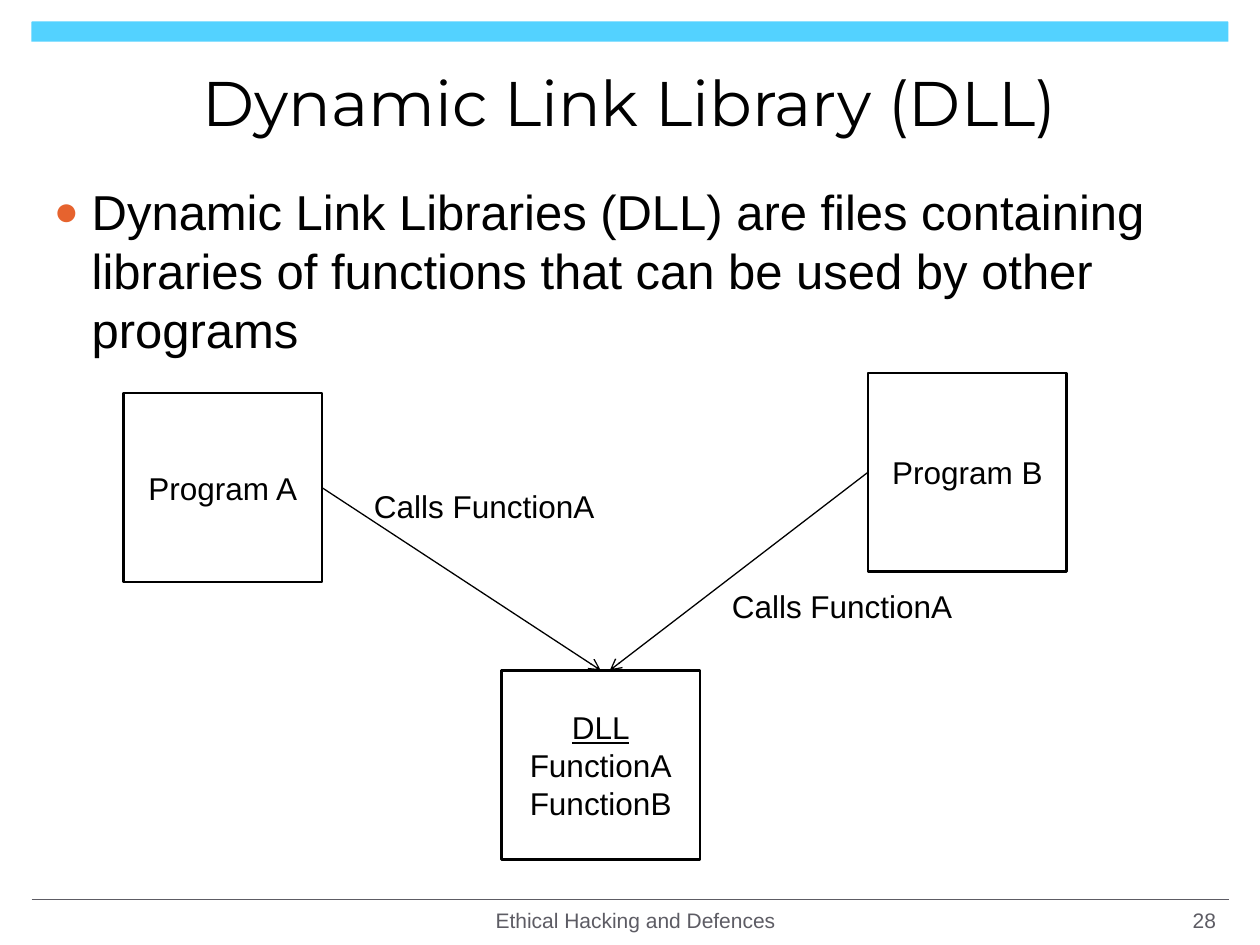
from lxml import etree
from pptx import Presentation
from pptx.dml.color import RGBColor
from pptx.enum.shapes import MSO_CONNECTOR, MSO_SHAPE
from pptx.enum.text import MSO_ANCHOR, PP_ALIGN
from pptx.oxml.ns import qn
from pptx.util import Inches, Pt

LEFT, CENTER, RIGHT = PP_ALIGN.LEFT, PP_ALIGN.CENTER, PP_ALIGN.RIGHT
TOP, MIDDLE = MSO_ANCHOR.TOP, MSO_ANCHOR.MIDDLE
RECTANGLE, BANNER = MSO_SHAPE.RECTANGLE, MSO_SHAPE.ROUND_2_SAME_RECTANGLE
STRAIGHT = MSO_CONNECTOR.STRAIGHT
TOP_SIDE, LEFT_SIDE, RIGHT_SIDE = 0, 1, 3

COLUMNS, ROWS = 100, 75
WIDTH, HEIGHT = Inches(10), Inches(7.5)

THEME = {
    "banner": "53D2FF",
    "ink": "000000",
    "muted": "5D5C64",
    "bullet": "E6632E",
    "title": {"name": "Montserrat", "size": Pt(36), "color": "000000"},
    "body": {"name": "Arial", "size": Pt(28), "color": "000000"},
    "label": {"name": "Arial", "size": Pt(18), "color": "000000"},
    "footer": {"name": "Arial", "size": Pt(12), "color": "5D5C64"},
}

BANNER_AREA = (2.5, 1.7, 95, 1.6)
FOOTER_RULE = (2.5, 71.4, 97.5, 71.4)
TEXTS = [
    ("Dynamic Link Library (DLL)", (3.3, 3, 93.3, 10.1), "title", CENTER, MIDDLE, True),
    ("Dynamic Link Libraries (DLL) are files containing libraries of functions "
     "that can be used by other programs", (3.3, 13.9, 93.3, 56.1), "body", LEFT, TOP, True),
    ("Ethical Hacking and Defences", (31.7, 71.3, 37.5, 3.5), "footer", CENTER, MIDDLE, True),
    ("28", (74.2, 71.3, 23.3, 3.5), "footer", RIGHT, MIDDLE, True),
    ("Calls FunctionA", (28.7, 38.2, 19.7, 4), "label", LEFT, TOP, False),
    ("Calls FunctionA", (57.1, 46.1, 19.7, 4), "label", LEFT, TOP, False),
]
BOXES = {
    "Program A": (["Program A"], (9.8, 31.2, 15.75, 15)),
    "Program B": (["Program B"], (68.9, 29.6, 15.75, 15.75)),
    "DLL": (["DLL", "FunctionA", "FunctionB"], (39.8, 53.2, 15.75, 15)),
}
UNDERLINED = {"DLL"}
PROGRAM_B_ARROW_END = (48.4, 53.2)


def across(columns):
    return round(WIDTH * columns / COLUMNS)


def down(rows):
    return round(HEIGHT * rows / ROWS)


def place(area):
    left, top, width, height = area
    return across(left), down(top), across(width), down(height)


def write(shape, lines, style, alignment, anchor, wrap=True):
    frame = shape.text_frame
    for name, value in {"word_wrap": wrap, "vertical_anchor": anchor}.items():
        setattr(frame, name, value)
    for index, line in enumerate(lines):
        paragraph = frame.add_paragraph() if index else frame.paragraphs[0]
        paragraph.alignment = alignment
        run = paragraph.add_run()
        run.text = line
        formats = {**THEME[style], "underline": line in UNDERLINED}
        run.font.color.rgb = RGBColor.from_string(formats.pop("color"))
        for name, value in formats.items():
            setattr(run.font, name, value)


def add_bullet(paragraph):
    properties = paragraph._p.get_or_add_pPr()
    properties.set("marL", str(Inches(0.3)))
    properties.set("indent", str(-Inches(0.3)))
    color = etree.SubElement(properties, qn("a:buClr"))
    etree.SubElement(color, qn("a:srgbClr"), val=THEME["bullet"])
    etree.SubElement(properties, qn("a:buSzPct"), val="85000")
    etree.SubElement(properties, qn("a:buFont"), typeface="Arial")
    etree.SubElement(properties, qn("a:buChar"), char="●")


def add_line(slide, points, color, weight, arrow=False):
    left, top, right, bottom = points
    line = slide.shapes.add_connector(STRAIGHT, across(left), down(top), across(right), down(bottom))
    line.line.color.rgb = RGBColor.from_string(THEME[color])
    line.line.width = Pt(weight)
    if arrow:
        etree.SubElement(line.line._get_or_add_ln(), qn("a:tailEnd"), type="arrow")
    etree.SubElement(line._element.spPr, qn("a:effectLst"))
    return line


def add_box(slide, lines, area):
    box = slide.shapes.add_shape(RECTANGLE, *place(area))
    box.shadow.inherit = False
    box.fill.background()
    box.line.color.rgb = RGBColor.from_string(THEME["ink"])
    box.line.width = Pt(1.5)
    write(box, lines, "label", CENTER, MIDDLE)
    return box


def main():
    presentation = Presentation()
    presentation.slide_width, presentation.slide_height = WIDTH, HEIGHT
    slide = presentation.slides.add_slide(presentation.slide_layouts[6])

    banner = slide.shapes.add_shape(BANNER, *place(BANNER_AREA))
    banner.adjustments[0] = 0.05
    banner.shadow.inherit = False
    banner.fill.solid()
    banner.fill.fore_color.rgb = RGBColor.from_string(THEME["banner"])
    banner.line.fill.background()
    add_line(slide, FOOTER_RULE, "muted", 1)

    for text, area, style, alignment, anchor, wrap in TEXTS:
        shape = slide.shapes.add_textbox(*place(area))
        write(shape, [text], style, alignment, anchor, wrap)
        if style == "body":
            add_bullet(shape.text_frame.paragraphs[0])

    boxes = {name: add_box(slide, lines, area) for name, (lines, area) in BOXES.items()}
    arrow_a = add_line(slide, (25.6, 38.7, 47.6, 53.2), "ink", 0.75, True)
    arrow_a.begin_connect(boxes["Program A"], RIGHT_SIDE)
    arrow_a.end_connect(boxes["DLL"], TOP_SIDE)
    arrow_b = add_line(slide, (68.9, 37.5, *PROGRAM_B_ARROW_END), "ink", 0.75, True)
    arrow_b.begin_connect(boxes["Program B"], LEFT_SIDE)

    presentation.save("out.pptx")


if __name__ == "__main__":
    main()
